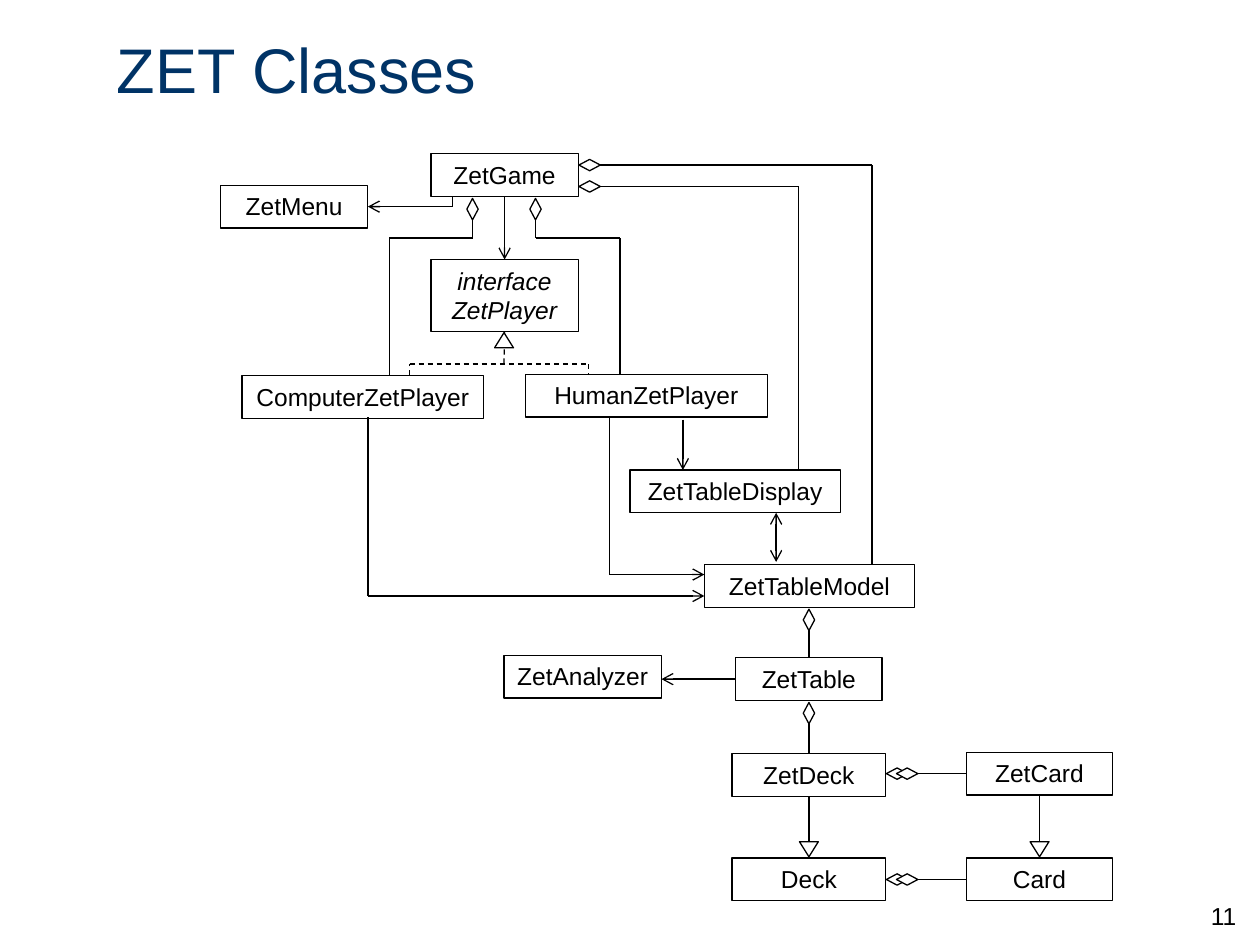
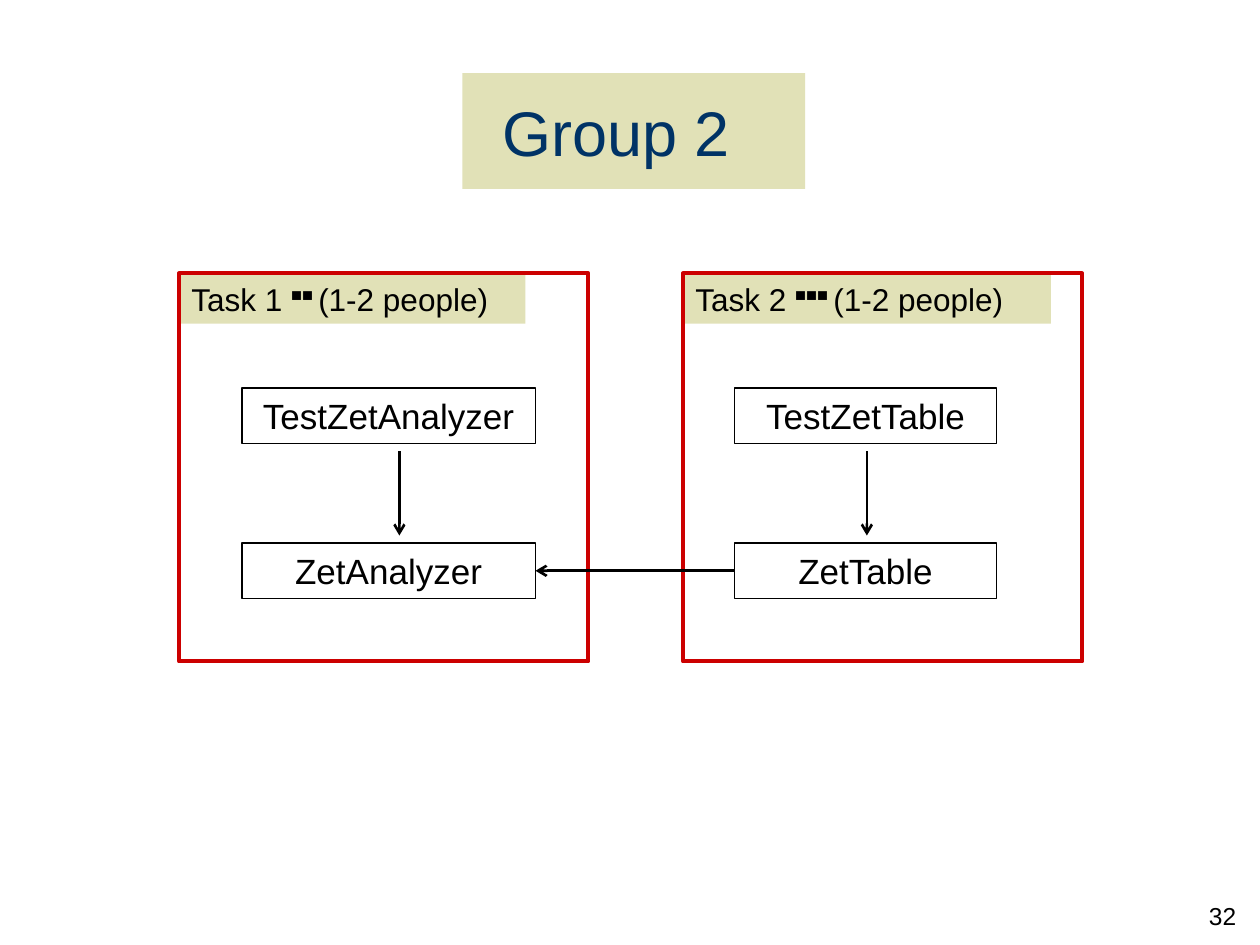
"""Build two slides: the ZET class diagram and the Group 2 task split."""
from dataclasses import dataclass

from lxml import etree
from pptx import Presentation
from pptx import util as u
from pptx.dml.color import RGBColor
from pptx.enum import dml, shapes, text
from pptx.oxml import ns


@dataclass(frozen=True)
class Theme:
    font: str = "Arial"
    ink: str = "000000"
    paper: str = "FFFFFF"
    title: str = "003366"
    band: str = "E1E1B7"
    frame: str = "CC0000"
    title_size: int = 36
    class_size: int = 14
    task_size: int = 18
    task_class_size: int = 20
    thin: float = 0.75
    arrow: float = 1.5
    heavy: float = 2.25


THEME = Theme()
TOP, LEFT, BOTTOM, RIGHT = range(4)
CLASS_HEIGHT, TASK_CLASS_HEIGHT = 0.34, 0.44
PAGE_NUMBER_AREA = (7.83, 7.1, 2.08, 0.5)

OVERVIEW = {"title": "ZET Classes", "area": (0.83, 0.17, 8.5, 0.75), "page": "11"}
GROUP = {"title": "Group 2", "area": (3.67, 0.58, 2.72, 0.92), "page": "32"}

CLASSES = {
    "ZetGame": (3.42, 1.22, 1.17),
    "ZetMenu": (1.75, 1.47, 1.17),
    "ComputerZetPlayer": (1.92, 2.98, 1.92),
    "HumanZetPlayer": (4.17, 2.97, 1.92),
    "ZetTableDisplay": (5, 3.73, 1.67),
    "ZetTableModel": (5.59, 4.48, 1.67),
    "ZetTable": (5.84, 5.22, 1.16),
    "ZetAnalyzer": (4, 5.2, 1.25),
    "ZetDeck": (5.81, 5.98, 1.22),
    "ZetCard": (7.67, 5.97, 1.16),
    "Deck": (5.81, 6.81, 1.22),
    "Card": (7.67, 6.81, 1.16),
}
INTERFACE = ("interface", "ZetPlayer")
INTERFACE_AREA = (3.42, 2.06, 1.17, 0.57)

USES = [
    [(3.59, 1.56), (3.59, 1.64), ("ZetMenu", RIGHT)],
    [("ZetGame", BOTTOM), ("ZetPlayer", TOP)],
    [(5.42, 3.33), (5.42, 3.73)],
    [(4.84, 3.31), (4.84, 4.56), (5.59, 4.56)],
    [(2.92, 3.31), (2.92, 4.73), (5.59, 4.73)],
    [("ZetTable", LEFT), (5.25, 5.39)],
]
MUTUAL_USE = [(6.16, 4.07), (6.16, 4.46)]
OWNS = [
    [(3.75, 1.63), (3.75, 1.89), (3.09, 1.89), (3.09, 2.98)],
    [(4.25, 1.63), (4.25, 1.89), (4.92, 1.89), (4.92, 2.98)],
    [(4.67, 1.31), (6.92, 1.31), (6.92, 4.48)],
    [(4.59, 1.48), (6.34, 1.48), (6.34, 3.73)],
    [(6.42, 4.89), ("ZetTable", TOP)],
    [(6.42, 5.64), ("ZetDeck", TOP)],
    [("ZetCard", LEFT), (7.09, 6.14)],
    [("Card", LEFT), (7.09, 6.98)],
]
EXTENDS = [
    [("ZetDeck", BOTTOM), (6.42, 6.73)],
    [("ZetCard", BOTTOM), (8.25, 6.73)],
]
IMPLEMENTS = [
    [("ZetPlayer", BOTTOM), (4, 2.89)],
    [(3.25, 2.98), (3.25, 2.89), (4.67, 2.89), (4.67, 2.98)],
]
UPRIGHT_DIAMONDS = [(3.75, 1.66), (4.25, 1.66), (6.42, 4.92), (6.42, 5.66)]
FLAT_DIAMONDS = [(4.68, 1.31), (4.68, 1.48), (7.12, 6.14), (7.2, 6.14),
                 (7.12, 6.98), (7.2, 6.98)]
TRIANGLES = [((4, 2.7), False), ((6.42, 6.74), True), ((8.25, 6.74), True)]

TASK_TOP, TASK_HEIGHT, LABEL_HEIGHT = 2.17, 3.08, 0.4
TEST_TOP, TESTED_TOP = 3.08, 4.31
TASKS = [
    {"name": "Task 1 ", "effort": "■■ ", "people": "(1-2 people)",
     "left": 1.42, "width": 3.25, "label": 2.75, "arrow": 3.17,
     "tested": "ZetAnalyzer", "class_left": 1.92, "class_width": 2.33},
    {"name": "Task 2 ", "effort": "■■■ ", "people": "(1-2 people)",
     "left": 5.42, "width": 3.17, "label": 2.92, "arrow": 6.88,
     "tested": "ZetTable", "class_left": 5.83, "class_width": 2.08},
]


def color(code):
    return RGBColor.from_string(code)


def write(frame, paragraphs, size, ink=THEME.ink, align=text.PP_ALIGN.LEFT,
          italic=False, anchor=text.MSO_ANCHOR.TOP, wrap=False):
    """Fill a frame with paragraphs, each a list of (words, raised) runs."""
    frame.word_wrap = wrap
    frame.vertical_anchor = anchor
    for index, runs in enumerate(paragraphs):
        paragraph = frame.add_paragraph() if index else frame.paragraphs[0]
        paragraph.alignment = align
        for words, raised in runs:
            run = paragraph.add_run()
            run.text = words
            run.font.name, run.font.size = THEME.font, u.Pt(size)
            run.font.color.rgb = color(ink)
            if italic:
                run.font.italic = True
            if raised:
                run._r.get_or_add_rPr().set("baseline", "30000")


def add_block(slide, area, fill=None, line=None, weight=THEME.thin,
              kind=shapes.MSO_SHAPE.RECTANGLE):
    block = slide.shapes.add_shape(kind, *map(u.Inches, area))
    block.shadow.inherit = False
    if fill:
        block.fill.solid()
        block.fill.fore_color.rgb = color(fill)
    else:
        block.fill.background()
    if line:
        block.line.color.rgb = color(line)
        block.line.width = u.Pt(weight)
    else:
        block.line.fill.background()
    return block


def add_class(slide, area, lines, size, italic=False):
    box = add_block(slide, area, line=THEME.ink)
    write(box.text_frame, [[(words, False)] for words in lines], size,
          align=text.PP_ALIGN.CENTER, italic=italic)
    return box


def add_symbol(slide, kind, center, width, height):
    x, y = center
    return add_block(slide, (x - width / 2, y - height / 2, width, height),
                     THEME.paper, THEME.ink, kind=kind)


def add_route(slide, boxes, stops, head=False, tail=False, dashed=False,
              weight=THEME.thin):
    """Draw straight segments through points or (box name, side) joints."""
    last = len(stops) - 2
    for index, (start, end) in enumerate(zip(stops, stops[1:])):
        places = [(0, 0) if isinstance(stop[0], str) else stop
                  for stop in (start, end)]
        link = slide.shapes.add_connector(
            shapes.MSO_CONNECTOR.STRAIGHT,
            *(u.Inches(value) for place in places for value in place))
        for stop, join in ((start, link.begin_connect), (end, link.end_connect)):
            if isinstance(stop[0], str):
                join(boxes[stop[0]], stop[1])
        link.line.color.rgb = color(THEME.ink)
        link.line.width = u.Pt(weight)
        if dashed:
            link.line.dash_style = dml.MSO_LINE.DASH
        outline = link.line._get_or_add_ln()
        for tag, wanted in (("a:headEnd", head and index == 0),
                            ("a:tailEnd", tail and index == last)):
            if wanted:
                etree.SubElement(outline, ns.qn(tag)).set("type", "arrow")
        etree.SubElement(link._element.spPr, ns.qn("a:effectLst"))


def start_slide(deck, content, fill=None, align=text.PP_ALIGN.LEFT, right_inset=0.1):
    slide = deck.slides.add_slide(deck.slide_layouts[6])
    number = slide.shapes.add_textbox(*map(u.Inches, PAGE_NUMBER_AREA))
    write(number.text_frame, [[(content["page"], False)]], THEME.class_size,
          align=text.PP_ALIGN.RIGHT, wrap=True)
    title = add_block(slide, content["area"], fill)
    title.text_frame.margin_right = u.Inches(right_inset)
    write(title.text_frame, [[(content["title"], False)]], THEME.title_size,
          THEME.title, align, anchor=text.MSO_ANCHOR.MIDDLE, wrap=True)
    return slide


def build_overview(deck):
    slide = start_slide(deck, OVERVIEW)
    boxes = {name: add_class(slide, (*place, CLASS_HEIGHT), [name], THEME.class_size)
             for name, place in CLASSES.items()}
    boxes["ZetPlayer"] = add_class(slide, INTERFACE_AREA, INTERFACE,
                                   THEME.class_size, italic=True)
    for route in USES:
        add_route(slide, boxes, route, tail=True)
    add_route(slide, boxes, MUTUAL_USE, head=True, tail=True)
    for route in OWNS + EXTENDS:
        add_route(slide, boxes, route)
    for route in IMPLEMENTS:
        add_route(slide, boxes, route, dashed=True)
    for center in UPRIGHT_DIAMONDS:
        add_symbol(slide, shapes.MSO_SHAPE.DIAMOND, center, 0.09, 0.17)
    for center in FLAT_DIAMONDS:
        add_symbol(slide, shapes.MSO_SHAPE.DIAMOND, center, 0.17, 0.09)
    for center, points_down in TRIANGLES:
        triangle = add_symbol(slide, shapes.MSO_SHAPE.ISOSCELES_TRIANGLE,
                              center, 0.15, 0.12)
        triangle.rotation = 180 if points_down else 0


def build_group(deck):
    slide = start_slide(deck, GROUP, THEME.band, text.PP_ALIGN.CENTER, 0.38)
    boxes = {}
    for task in TASKS:
        label = add_block(slide, (task["left"], TASK_TOP, task["label"], LABEL_HEIGHT),
                          THEME.band)
        write(label.text_frame, [[(task["name"], False), (task["effort"], True),
                                  (task["people"], False)]], THEME.task_size)
        add_block(slide, (task["left"], TASK_TOP, task["width"], TASK_HEIGHT),
                  line=THEME.frame, weight=THEME.heavy)
        for name, top in (("Test" + task["tested"], TEST_TOP),
                          (task["tested"], TESTED_TOP)):
            area = (task["class_left"], top, task["class_width"], TASK_CLASS_HEIGHT)
            boxes[name] = add_class(slide, area, [name], THEME.task_class_size)
        add_route(slide, boxes, [(task["arrow"], 3.58), (task["arrow"], 4.25)],
                  tail=True, weight=THEME.arrow)
    add_route(slide, boxes, [("ZetTable", LEFT), ("ZetAnalyzer", RIGHT)],
              tail=True, weight=THEME.arrow)


def main():
    deck = Presentation()
    deck.slide_width, deck.slide_height = u.Inches(10), u.Inches(7.5)
    build_overview(deck)
    build_group(deck)
    deck.save("out.pptx")


if __name__ == "__main__":
    main()
